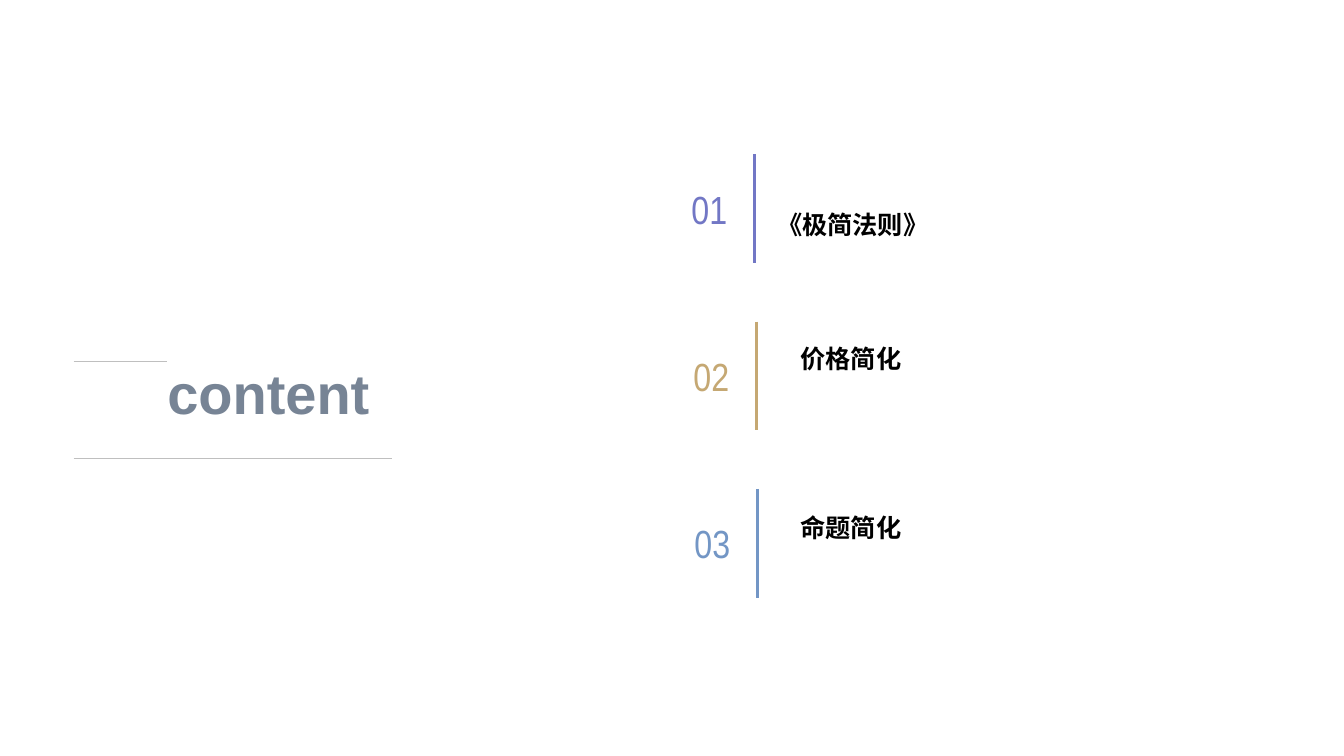
from dataclasses import dataclass

from lxml.etree import SubElement
from pptx import Presentation
from pptx.dml.color import RGBColor
from pptx.enum.shapes import MSO_CONNECTOR
from pptx.enum.text import MSO_ANCHOR, MSO_AUTO_SIZE, PP_ALIGN
from pptx.oxml.ns import qn
from pptx.util import Inches, Pt


@dataclass(frozen=True)
class Theme:
    frame: str = "BFBFBF"
    title: str = "778495"
    heading: str = "000000"
    accents: tuple = ("7277C5", "C5A873", "7396C5")
    title_size: int = 40
    number_size: int = 28
    heading_size: int = 18
    font: str = "Arial"
    number_font: str = "Arial Narrow"


def write(shape, text, *, size, color, font=Theme.font, bold=False,
          align=PP_ALIGN.LEFT, anchor=MSO_ANCHOR.MIDDLE, inset=(0.1, 0.05), spacing=1.0):
    frame = shape.text_frame
    frame.auto_size = MSO_AUTO_SIZE.NONE
    frame.word_wrap = False
    frame.vertical_anchor = anchor
    frame.margin_left = frame.margin_right = Inches(inset[0])
    frame.margin_top = frame.margin_bottom = Inches(inset[1])
    paragraph = frame.paragraphs[0]
    paragraph.alignment = align
    paragraph.line_spacing = spacing
    run = paragraph.add_run()
    run.text = text
    run.font.name = font
    run.font.size = Pt(size)
    run.font.bold = bold
    run.font.color.rgb = RGBColor.from_string(color)


def draw_line(start, end, color, weight):
    line = slide.shapes.add_connector(
        MSO_CONNECTOR.STRAIGHT, *(Inches(length) for length in start + end))
    line.line.color.rgb = RGBColor.from_string(color)
    line.line.width = Pt(weight)
    SubElement(line.element.spPr, qn("a:effectLst"))


theme = Theme()
presentation = Presentation()
presentation.slide_width = Inches(13.33)
presentation.slide_height = Inches(7.5)
slide = presentation.slides.add_slide(presentation.slide_layouts[5])

title = slide.shapes.title
title.left, title.top, title.width, title.height = (
    Inches(length) for length in (1.56, 3.25, 2.33, 1.36))
write(title, "content", size=theme.title_size, color=theme.title, bold=True, spacing=0.9)

frame_left = 0.73
for frame_right, frame_top in ((1.66, 3.59), (3.89, 4.55)):
    draw_line((frame_left, frame_top), (frame_right, frame_top), theme.frame, 0.5)

first_row, row_pitch, rule_height = 1.53, 1.66, 1.08
number_left, heading_left = 6.75, 7.61
entries = (
    ("《极简法则》", 0.57, 7.48, 0.17, 0.1),
    ("价格简化", 0.61, 7.5, -0.16, 0.33),
    ("命题简化", 0.63, 7.51, -0.15, 0.33),
)
for index, (entry, color) in enumerate(zip(entries, theme.accents)):
    heading_text, number_width, rule_left, heading_offset, heading_inset = entry
    row_top = first_row + index * row_pitch

    number = slide.shapes.add_textbox(
        Inches(number_left), Inches(row_top + 0.06), Inches(number_width), Inches(0.96))
    write(number, f"{index + 1:02}", size=theme.number_size, color=color,
          font=theme.number_font, align=PP_ALIGN.CENTER, inset=(0, 0))

    draw_line((rule_left, row_top), (rule_left, row_top + rule_height), color, 2.25)

    heading = slide.shapes.add_textbox(
        Inches(heading_left), Inches(row_top + heading_offset), Inches(4.4), Inches(0.73))
    write(heading, heading_text, size=theme.heading_size, color=theme.heading, bold=True,
          anchor=MSO_ANCHOR.BOTTOM, inset=(heading_inset, 0.05))

presentation.save("out.pptx")
